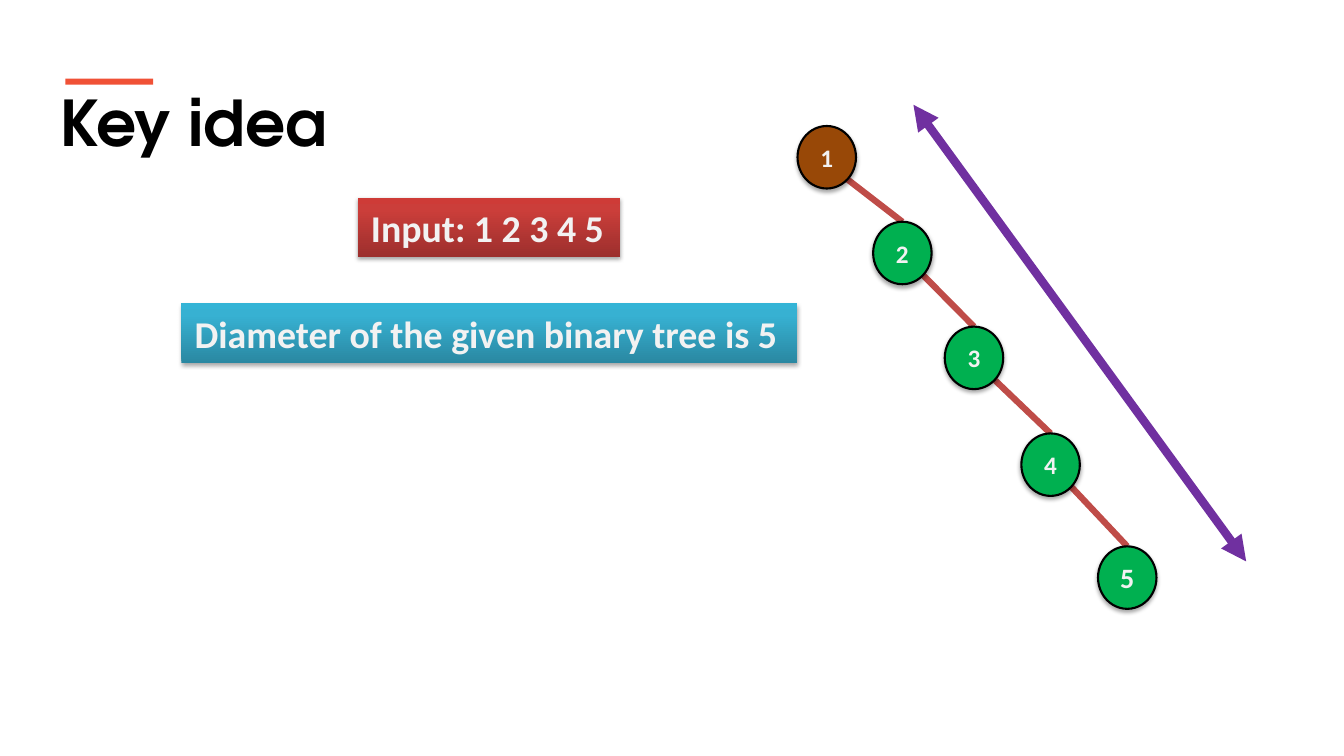
from copy import deepcopy
from dataclasses import dataclass
from math import sqrt

from lxml.etree import SubElement
from pptx import Presentation
from pptx.dml.color import RGBColor
from pptx.enum.shapes import MSO_CONNECTOR, MSO_SHAPE
from pptx.enum.text import MSO_ANCHOR, MSO_AUTO_SIZE, PP_ALIGN
from pptx.oxml.ns import qn
from pptx.util import Inches, Pt

# Content
TITLE = "Key idea"
BANNERS = [  # text, (left, top, width, height), gradient name
    ("Input: 1 2 3 4 5", (3.55, 1.96, 2.6, 0.59), "red"),
    ("Diameter of the given binary tree is 5", (1.8, 3.01, 6.11, 0.59), "blue"),
]
NODES = [  # label, left, top, size; each node is the right child of the one before
    ("1", 7.91, 1.25, 18),
    ("2", 8.66, 2.2, 18),
    ("3", 9.37, 3.24, 18),
    ("4", 10.13, 4.3, 18),
    ("5", 10.89, 5.42, 20),
]
NODE_WIDTH, NODE_HEIGHT = 0.58, 0.62
DIAMETER_ARROW = (9.06, 1.04), (12.36, 5.57)


@dataclass(frozen=True)
class Theme:
    title_font: str = "TeX Gyre Adventor"
    body_font: str = "Calibri"
    title_size: int = 45
    banner_size: int = 27
    ink: str = "000000"
    light: str = "F2F2F2"
    accent: str = "F05136"
    root: str = "984807"
    child: str = "00B050"
    edge: str = "BF4C48"
    arrow: str = "7030A0"
    red: tuple = ((0, "9C2F2D"), (0.8, "CB3E3A"), (1, "CE3B37"))
    blue: tuple = ((0, "2A88A2"), (0.8, "37B1D2"), (1, "34B4D6"))


THEME = Theme()


def color(value):
    return RGBColor.from_string(value)


def style_text(paragraph, font_name, size, value):
    font = paragraph.font
    font.name, font.size, font.bold = font_name, Pt(size), True
    font.color.rgb = color(value)


def add_shape(page, kind, place):
    shape = page.shapes.add_shape(kind, *map(Inches, place))
    shape.shadow.inherit = False
    shape.line.fill.background()
    return shape


def add_soft_shadow(shape):
    effects = shape.element.spPr.find(qn("a:effectLst"))
    shadow = SubElement(effects, qn("a:outerShdw"), blurRad=str(Pt(3.1)),
                        dist=str(Pt(1.8)), dir="5400000", rotWithShape="0")
    black = SubElement(shadow, qn("a:srgbClr"), val=THEME.ink)
    SubElement(black, qn("a:alpha"), val="35000")


def fill_gradient(shape, stops):
    fill = shape.fill
    fill.gradient()
    fill.gradient_angle = 90
    stop_list = shape.element.spPr.find(".//" + qn("a:gsLst"))
    stop_list.append(deepcopy(stop_list[-1]))
    for stop, (position, value) in zip(fill.gradient_stops, stops):
        stop.position = position
        stop.color.rgb = color(value)


def write_label(shape, text, size, alignment, anchor, wrap):
    frame = shape.text_frame
    frame.margin_left = frame.margin_right = Inches(0.13)
    frame.margin_top = frame.margin_bottom = Inches(0.07)
    frame.word_wrap, frame.vertical_anchor = wrap, anchor
    paragraph = frame.paragraphs[0]
    paragraph.text, paragraph.alignment = text, alignment
    style_text(paragraph, THEME.body_font, size, THEME.light)


def add_line(page, start, end, value, width):
    line = page.shapes.add_connector(MSO_CONNECTOR.STRAIGHT, *map(Inches, (*start, *end)))
    line.line.color.rgb, line.line.width = color(value), Pt(width)
    SubElement(line.element.spPr, qn("a:effectLst"))
    return line


def add_title(page):
    title = page.shapes.title
    title.left, title.top, title.width, title.height = map(Inches, (0.5, 0.78, 12.18, 0.86))
    frame = title.text_frame
    frame.text = TITLE
    frame.auto_size, frame.vertical_anchor = MSO_AUTO_SIZE.NONE, MSO_ANCHOR.TOP
    frame.paragraphs[0].alignment = PP_ALIGN.LEFT
    style_text(frame.paragraphs[0], THEME.title_font, THEME.title_size, THEME.ink)
    rule = add_shape(page, MSO_SHAPE.RECTANGLE, (0.65, 0.78, 0.87, 0.06))
    rule.fill.solid()
    rule.fill.fore_color.rgb = color(THEME.accent)


def add_banners(page):
    for text, place, gradient in BANNERS:
        banner = add_shape(page, MSO_SHAPE.RECTANGLE, place)
        fill_gradient(banner, getattr(THEME, gradient))
        add_soft_shadow(banner)
        write_label(banner, text, THEME.banner_size, PP_ALIGN.LEFT, MSO_ANCHOR.TOP, False)


def add_tree(page):
    # Edges run from the parent's lower right rim to the child's top
    rim = (1 + sqrt(0.5)) / 2
    for (_, left, top, _), (_, child_left, child_top, _) in zip(NODES, NODES[1:]):
        start = left + rim * NODE_WIDTH, top + rim * NODE_HEIGHT
        add_line(page, start, (child_left + NODE_WIDTH / 2, child_top), THEME.edge, 4.5)
    # Nodes
    for index, (label, left, top, size) in enumerate(NODES):
        node = add_shape(page, MSO_SHAPE.OVAL, (left, top, NODE_WIDTH, NODE_HEIGHT))
        node.fill.solid()
        node.fill.fore_color.rgb = color(THEME.child if index else THEME.root)
        node.line.color.rgb, node.line.width = color(THEME.ink), Pt(1.5)
        add_soft_shadow(node)
        write_label(node, label, size, PP_ALIGN.CENTER, MSO_ANCHOR.MIDDLE, True)
    # Two-headed arrow along the longest path
    arrow = add_line(page, *DIAMETER_ARROW, THEME.arrow, 6)
    outline = arrow.element.spPr.find(qn("a:ln"))
    for end in ("a:headEnd", "a:tailEnd"):
        SubElement(outline, qn(end), type="triangle")


def main():
    deck = Presentation()
    deck.slide_width, deck.slide_height = Inches(13.33), Inches(7.5)
    page = deck.slides.add_slide(deck.slide_layouts[5])
    add_title(page)
    add_banners(page)
    add_tree(page)
    deck.save("out.pptx")


if __name__ == "__main__":
    main()
